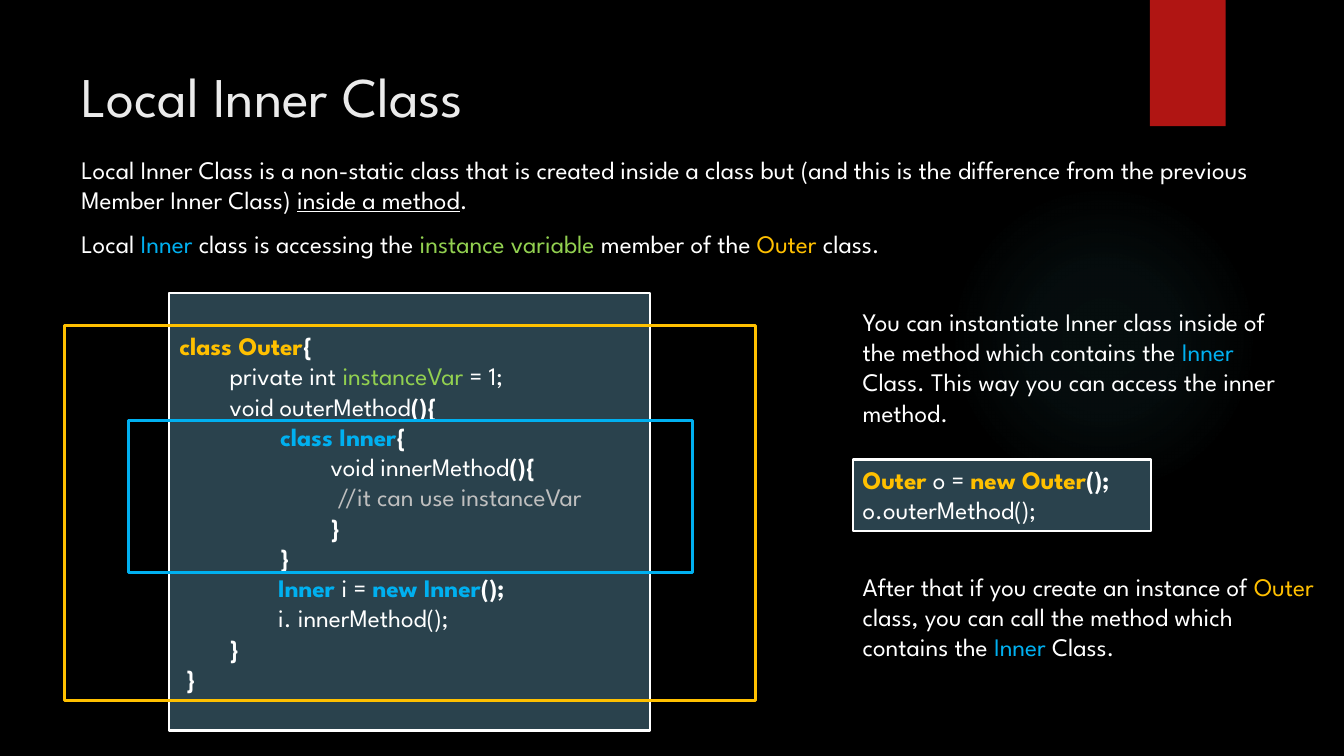
from pptx import Presentation
from pptx.dml.color import RGBColor as RGB
from pptx.enum.shapes import MSO_SHAPE as Form
from pptx.enum.text import MSO_ANCHOR as Anchor, PP_ALIGN as Align
from pptx.oxml import parse_xml
from pptx.oxml.ns import nsdecls
from pptx.util import Cm, Pt

FONT = "League Spartan"
BLACK = RGB(0x00, 0x00, 0x00)
WHITE = RGB(0xFF, 0xFF, 0xFF)
PALE = RGB(0xEB, 0xEB, 0xEB)
GREY = RGB(0xBF, 0xBF, 0xBF)
RED = RGB(0xB0, 0x15, 0x13)
SLATE = RGB(0x2A, 0x42, 0x4D)
GOLD = RGB(0xFF, 0xC0, 0x00)
BLUE = RGB(0x00, 0xB0, 0xF0)
GREEN = RGB(0x92, 0xD0, 0x50)
GLOW = RGB(0x50, 0xB9, 0xC1)

BASE = {"name": FONT, "size": Pt(18)}
BOLD = {"bold": True}
LINE = {"underline": True}
TAB = 1.27
SPACE = 0.17

INTRO = [[
    ("Local Inner Class is a non-static class that is created inside a class "
     "but (and this is the difference from the previous Member Inner Class) ", WHITE),
    ("inside a method", WHITE, LINE), (".", WHITE)]]
ACCESS = [[
    ("Local ", WHITE), ("Inner ", BLUE), ("class is accessing the ", WHITE),
    ("instance variable ", GREEN), ("member of the ", WHITE),
    ("Outer", GOLD), (" class.", WHITE)]]
INSIDE = [[
    ("You can instantiate Inner class inside of the method which contains the ", WHITE),
    ("Inner", BLUE),
    (" Class. This way you can access the inner method.", WHITE)]]
AFTER = [[
    ("After that if you create an instance of ", WHITE), ("Outer", GOLD),
    (" class, you can call the method which contains the ", WHITE),
    ("Inner", BLUE), (" Class.", WHITE)]]
END = [("}", WHITE, BOLD)]
CODE = [
    [("class Outer", GOLD, BOLD), ("{", WHITE, BOLD)],
    [("private int ", WHITE), ("instanceVar", GREEN), (" = 1;", WHITE)],
    [("void outerMethod", WHITE), ("(){", WHITE, BOLD)],
    [("class Inner", BLUE, BOLD), ("{", WHITE, BOLD)],
    [("void innerMethod", WHITE), ("(){", WHITE, BOLD)],
    [("//it can use instanceVar", GREY)],
    END, END, END, END]
DENTS = [0, TAB, TAB, 2 * TAB, 3 * TAB, 3 * TAB + SPACE, 3 * TAB, 2 * TAB, TAB, SPACE]
INNER = [
    [("Inner ", BLUE, BOLD), ("i = ", WHITE), ("new Inner", BLUE, BOLD),
     ("();", WHITE, BOLD)],
    [("i. innerMethod();", WHITE)]]
OUTER = [
    [("Outer", GOLD, BOLD), (" o = ", WHITE), ("new Outer", GOLD, BOLD),
     ("();", WHITE, BOLD)],
    [("o.outerMethod();", WHITE)]]


def style(item, values):
    """Set each value in a dict as an attribute."""
    for key, value in values.items():
        setattr(item, key, value)


def write(shape, paras, base=BASE, anchor=Anchor.TOP):
    """Fill a shape with paragraphs of styled runs."""
    frame = shape.text_frame
    style(frame, {"word_wrap": True, "vertical_anchor": anchor})
    for num, runs in enumerate(paras):
        para = frame.add_paragraph() if num else frame.paragraphs[0]
        para.alignment = Align.LEFT
        for text, color, *extra in runs:
            run = para.add_run()
            run.text = text
            for values in (base, *extra):
                style(run.font, values)
            run.font.color.rgb = color
    return frame


def note(slide, box, paras):
    """Add a wrapped text box."""
    write(slide.shapes.add_textbox(*map(Cm, box)), paras)


def panel(slide, box, fill=None, line=None, width=1.5, form=Form.RECTANGLE):
    """Add a shape with an optional fill and outline."""
    shape = slide.shapes.add_shape(form, *map(Cm, box))
    shape.shadow.inherit = False
    if fill is None:
        shape.fill.background()
    else:
        shape.fill.solid()
        shape.fill.fore_color.rgb = fill
    if line is None:
        shape.line.fill.background()
    else:
        shape.line.color.rgb = line
        shape.line.width = Pt(width)
    return shape


def glow(slide, box):
    """Add a faint round glow that fades outwards."""
    shape = panel(slide, box, form=Form.OVAL)
    stops = "".join(
        f'<a:gs pos="{pos * 1000}"><a:srgbClr val="{GLOW}">'
        f'<a:alpha val="{alpha * 1000}"/></a:srgbClr></a:gs>'
        for pos, alpha in ((0, 7), (36, 6), (69, 0), (100, 0)))
    grad = parse_xml(
        f'<a:gradFill {nsdecls("a")}><a:gsLst>{stops}</a:gsLst><a:path path="circle">'
        '<a:fillToRect l="50000" t="50000" r="50000" b="50000"/></a:path></a:gradFill>')
    props = shape.element.spPr
    props.replace(props.find("{*}noFill"), grad)


def head(slide, box, text):
    """Place and format the title."""
    title = slide.shapes.title
    style(title, dict(zip(("left", "top", "width", "height"), map(Cm, box))))
    write(title, [[(text, PALE)]], {"name": FONT, "size": Pt(40)}, Anchor.MIDDLE)


def code(slide, box):
    """Add the class listing with its indents and gap."""
    frame = write(panel(slide, box, SLATE, WHITE), CODE)
    frame.margin_top = Cm(0.94)
    for para, dent in zip(frame.paragraphs, DENTS):
        para._p.get_or_add_pPr().set("marL", str(Cm(dent)))
    frame.paragraphs[8].space_before = Pt(43.4)


def main():
    """Build and save the slide."""
    deck = Presentation()
    style(deck, {"slide_width": Cm(33.87), "slide_height": Cm(19.05)})
    slide = deck.slides.add_slide(deck.slide_layouts[5])
    back = slide.background.fill
    back.solid()
    back.fore_color.rgb = BLACK
    glow(slide, (23.9, 4.65, 7.82, 7.82))
    panel(slide, (28.98, 0, 1.91, 3.18), RED)
    head(slide, (1.8, 1.27, 27.33, 2.24), "Local Inner Class")
    note(slide, (1.8, 3.76, 30.25, 1.8), INTRO)
    note(slide, (1.8, 5.64, 30.45, 1.02), ACCESS)
    note(slide, (21.49, 7.59, 11.15, 3.33), INSIDE)
    note(slide, (21.49, 14.27, 12.09, 2.57), AFTER)
    code(slide, (4.27, 7.39, 12.12, 11.02))
    panel(slide, (1.63, 8.2, 17.42, 9.45), line=GOLD, width=2.25)
    note(slide, (6.76, 14.3, 7.19, 1.8), INNER)
    panel(slide, (3.25, 10.59, 14.2, 3.84), line=BLUE, width=2.25)
    write(panel(slide, (21.49, 11.58, 7.52, 1.8), SLATE, WHITE), OUTER)
    deck.save("out.pptx")


if __name__ == "__main__":
    main()
